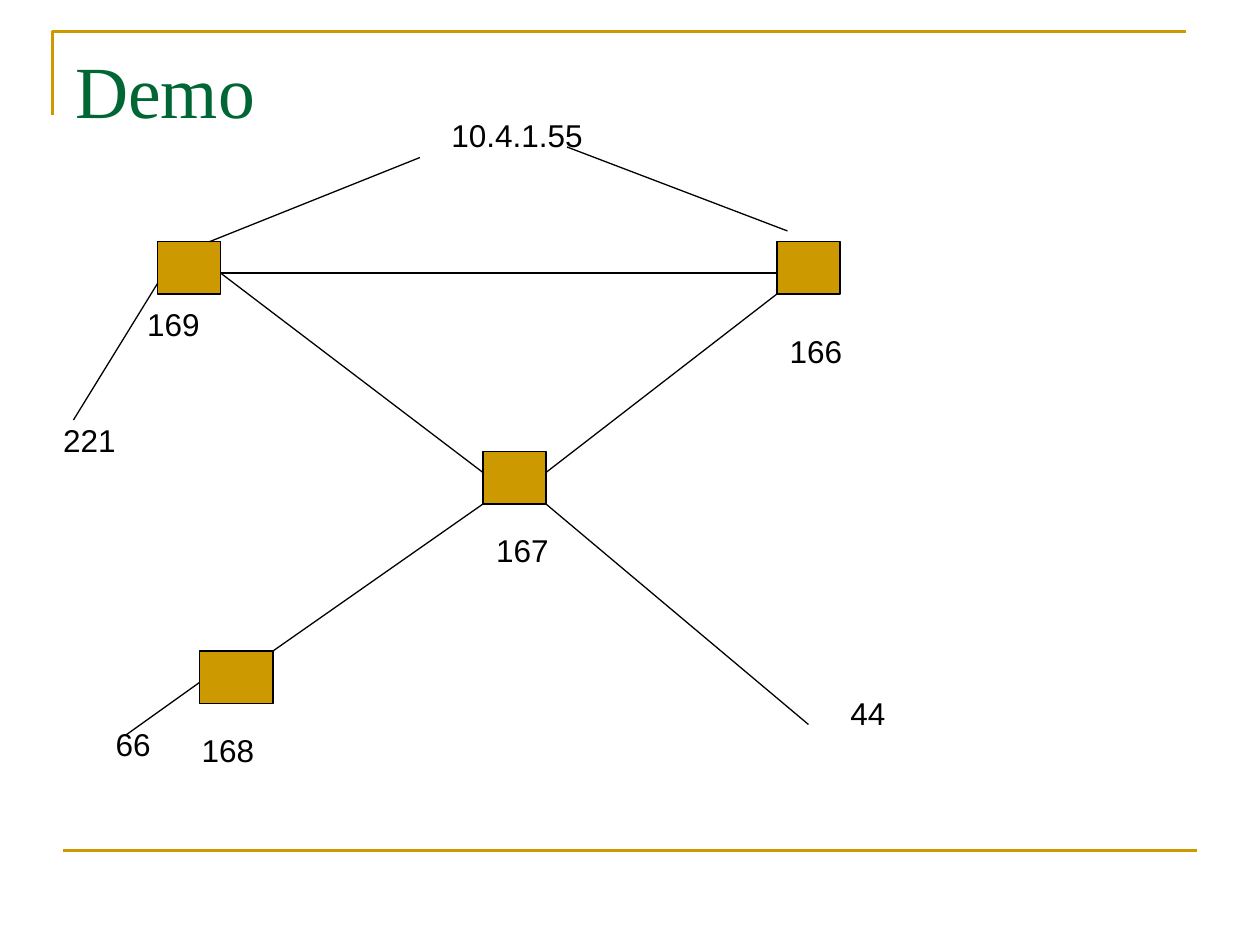
from lxml import etree
from pptx import Presentation
from pptx.dml.color import RGBColor
from pptx.enum.shapes import MSO_CONNECTOR, MSO_SHAPE
from pptx.enum.text import MSO_ANCHOR, MSO_AUTO_SIZE
from pptx.oxml.ns import qn
from pptx.util import Pt

STRAIGHT = MSO_CONNECTOR.STRAIGHT
RECT = MSO_SHAPE.RECTANGLE
TOP = MSO_ANCHOR.TOP
GROW = MSO_AUTO_SIZE.SHAPE_TO_FIT_TEXT

GOLD = "CC9900"
GREEN = "006633"
BLACK = "000000"

NODES = [(66, 78, 36), (420, 78, 36), (252, 198, 36), (90, 312, 42)]
NODE_HEIGHT = 30

LABELS = [
    ("169", 53, 110.6, 45),
    ("166", 420.2, 126, 45),
    ("167", 252.5, 240, 45),
    ("168", 84.2, 354, 45),
    ("10.4.1.55", 226.8, 2.6, 89.5),
    ("221", 5, 177, 45),
    ("44", 454.8, 333, 35),
    ("66", 35, 351, 35),
]
LABEL_HEIGHT = 29

LINKS = [
    (102, 96, 420, 96),
    (102, 96, 252, 210),
    (96, 78, 216, 30),
    (66, 102, 18, 180),
    (426, 72, 300, 24),
    (288, 210, 420, 108),
    (132, 312, 252, 228),
    (288, 228, 438, 354),
    (90, 330, 48, 360),
]


def rgb(color):
    return RGBColor.from_string(color)


def set_line(sp, color, width):
    sp.line.color.rgb = rgb(color)
    sp.line.width = Pt(width)


def add_line(s, x1, y1, x2, y2, color, width):
    sp = s.shapes.add_connector(STRAIGHT, Pt(x1), Pt(y1), Pt(x2), Pt(y2))
    set_line(sp, color, width)
    etree.SubElement(sp._element.spPr, qn("a:effectLst"))


def add_text(s, text, left, top, width, height, font, size, color, wrap):
    sp = s.shapes.add_textbox(Pt(left), Pt(top), Pt(width), Pt(height))
    tf = sp.text_frame
    tf.word_wrap = wrap
    tf.vertical_anchor = TOP
    if not wrap:
        tf.auto_size = GROW
    p = tf.paragraphs[0]
    p.text = text
    p.font.name = font
    p.font.size = Pt(size)
    p.font.color.rgb = rgb(color)


def add_frame(s, left, top, width, height):
    fb = s.shapes.build_freeform(Pt(left), Pt(top + 48))
    fb.add_line_segments(
        [(Pt(left), Pt(top)), (Pt(left + width), Pt(top))], close=False
    )
    sp = fb.convert_to_shape()
    sp.shadow.inherit = False
    sp.fill.background()
    set_line(sp, GOLD, 1.5)
    bottom = top + height
    add_line(s, left + 6, bottom, left + 6 + width, bottom, GOLD, 1.5)


def add_title(s, text, left, top, width, height):
    add_text(s, text, left, top, width, height, "Times New Roman", 42, GREEN, True)


def add_network(s, left, top):
    for x, y, width in NODES:
        sp = s.shapes.add_shape(
            RECT, Pt(left + x), Pt(top + y), Pt(width), Pt(NODE_HEIGHT)
        )
        sp.shadow.inherit = False
        sp.fill.solid()
        sp.fill.fore_color.rgb = rgb(GOLD)
        set_line(sp, BLACK, 0.75)
    for text, x, y, width in LABELS:
        add_text(
            s, text, left + x, top + y, width, LABEL_HEIGHT, "Arial", 18, BLACK, False
        )
    for x1, y1, x2, y2 in LINKS:
        add_line(s, left + x1, top + y1, left + x2, top + y2, BLACK, 0.75)


def main():
    prs = Presentation()
    prs.slide_width = Pt(720)
    prs.slide_height = Pt(540)
    s = prs.slides.add_slide(prs.slide_layouts[6])
    add_frame(s, 30, 18, 648, 468)
    add_title(s, "Demo", 36, 22, 648, 90)
    add_network(s, 24, 60)
    prs.save("out.pptx")


if __name__ == "__main__":
    main()
